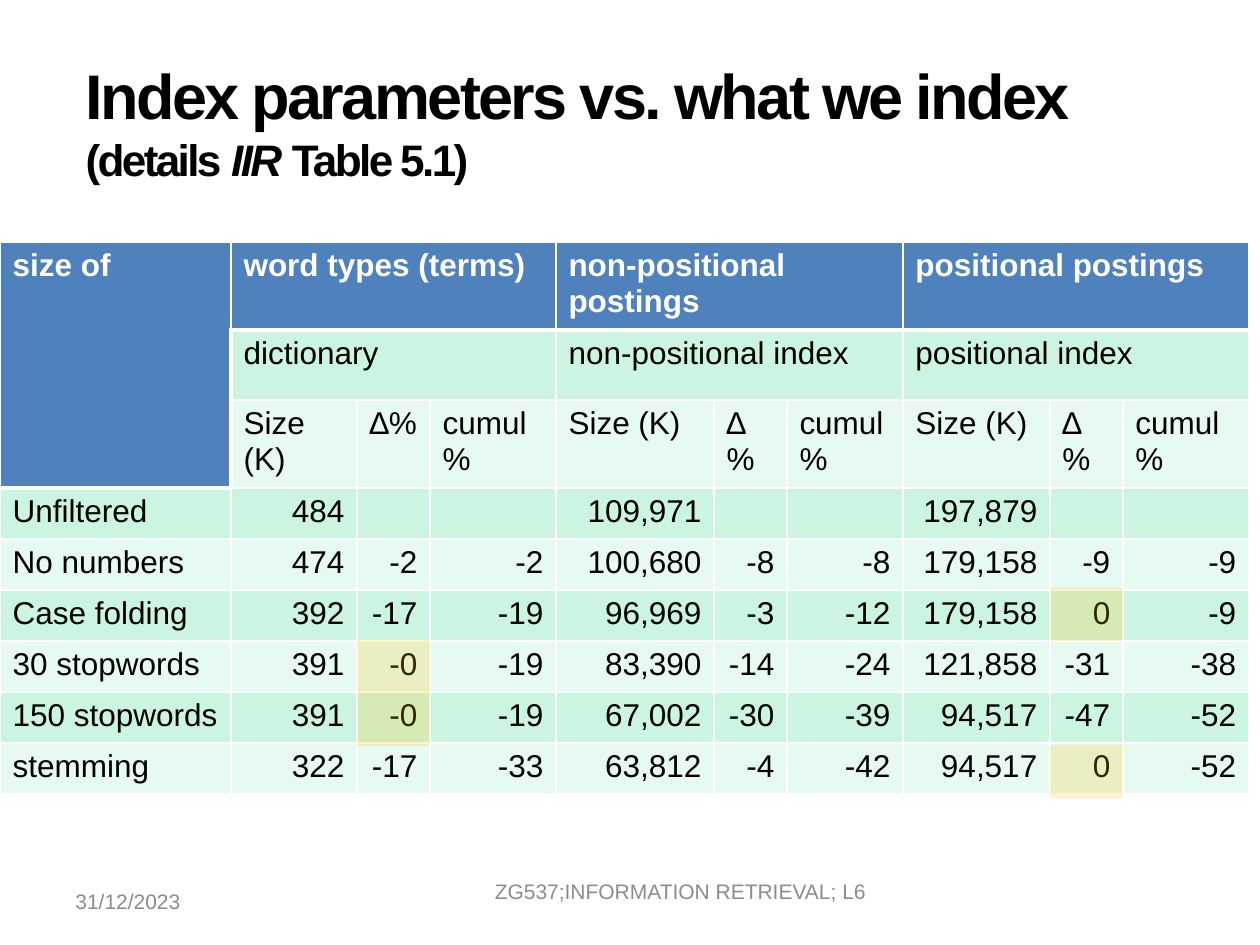
from itertools import accumulate
from lxml.etree import SubElement
from pptx import Presentation
from pptx.dml.color import RGBColor
from pptx.enum.shapes import MSO_SHAPE
from pptx.enum.text import MSO_ANCHOR, MSO_AUTO_SIZE, PP_ALIGN
from pptx.oxml.ns import qn
from pptx.util import Pt

EMU_PER_PX = 914400 / 126
BLACK = RGBColor(0x00, 0x00, 0x00)
WHITE = RGBColor(0xFF, 0xFF, 0xFF)
GRAY = RGBColor(0x8C, 0x8C, 0x8C)
BLUE = RGBColor(0x4F, 0x81, 0xBD)
MINT = RGBColor(0xCB, 0xF5, 0xE1)
PALE = RGBColor(0xE7, 0xFA, 0xF1)
AMBER = RGBColor(0xFF, 0xC0, 0x00)

WIDTHS = [231, 126, 73, 126, 158, 73, 116, 147, 73, 126]
HEIGHTS = [88, 70, 88] + [51] * 6
HEAD = 3
GROUPS = (1, 4, 7)
ROWS = [
    ["size of", "word types (terms)", "", "", "non-positional\npostings", "", "",
     "positional postings", "", ""],
    ["", "dictionary", "", "", "non-positional index", "", "", "positional index", "", ""],
    ["", "Size (K)", "∆%", "cumul %"] + ["Size (K)", "∆ %", "cumul %"] * 2,
    ["Unfiltered", "484", "", "", "109,971", "", "", "197,879", "", ""],
    ["No numbers", "474", "-2", "-2", "100,680", "-8", "-8", "179,158", "-9", "-9"],
    ["Case folding", "392", "-17", "-19", "96,969", "-3", "-12", "179,158", "0", "-9"],
    ["30 stopwords", "391", "-0", "-19", "83,390", "-14", "-24", "121,858", "-31", "-38"],
    ["150 stopwords", "391", "-0", "-19", "67,002", "-30", "-39", "94,517", "-47", "-52"],
    ["stemming", "322", "-17", "-33", "63,812", "-4", "-42", "94,517", "0", "-52"],
]


def px(n):
    return round(n * EMU_PER_PX)


def box(*lengths):
    return [px(n) for n in lengths]


class Deck:
    def __init__(self, font):
        self.font = font
        self.show = Presentation()
        self.show.slide_width, self.show.slide_height = box(1260, 945)
        self.slide = self.show.slides.add_slide(self.show.slide_layouts[5])

    def style(self, run, size, color, bold=False):
        font = run.font
        font.name, font.size, font.bold = self.font, Pt(size), bold
        font.color.rgb = color

    def title(self, place, parts):
        """Fill the title from (text, size, italic) parts."""
        shape = self.slide.shapes.title
        shape.left, shape.top, shape.width, shape.height = box(*place)
        frame = shape.text_frame
        frame.auto_size = MSO_AUTO_SIZE.NONE
        frame.vertical_anchor = MSO_ANCHOR.MIDDLE
        line = frame.paragraphs[0]
        line.alignment = PP_ALIGN.LEFT
        for text, size, italic in parts:
            run = line.add_run()
            run.text = text
            self.style(run, size, BLACK, True)
            run.font.italic = italic
            run.font._element.set("spc", "-150")

    def note(self, place, text, align):
        frame = self.slide.shapes.add_textbox(*box(*place)).text_frame
        frame.word_wrap = True
        frame.vertical_anchor = MSO_ANCHOR.MIDDLE
        frame.text = text
        line = frame.paragraphs[0]
        line.alignment = align
        self.style(line.runs[0], 12, GRAY)

    def edge(self, cell, row, col):
        """Draw white cell borders, thick around the heading blocks."""
        thick = {
            "L": col == 1 and row in (1, 2),
            "R": False,
            "T": row == 1 or (row == HEAD and col == 0),
            "B": row == 0,
        }
        props = cell._tc.get_or_add_tcPr()
        for side, heavy in thick.items():
            line = SubElement(props, qn("a:ln" + side), w=str(Pt(3 if heavy else 1)))
            fill = SubElement(line, qn("a:solidFill"))
            SubElement(fill, qn("a:srgbClr"), val=str(WHITE))

    def cell(self, cell, row, col, text):
        head = row == 0 or (col == 0 and row < HEAD)
        self.edge(cell, row, col)
        cell.fill.solid()
        cell.fill.fore_color.rgb = BLUE if head else MINT if row % 2 else PALE
        cell.text_frame.text = text
        for line in cell.text_frame.paragraphs:
            right = row >= HEAD and col > 0
            line.alignment = PP_ALIGN.RIGHT if right else PP_ALIGN.LEFT
            for run in line.runs:
                self.style(run, 18, WHITE if head else BLACK, head)

    def table(self, left, top):
        place = box(left, top, sum(WIDTHS), sum(HEIGHTS))
        table = self.slide.shapes.add_table(len(ROWS), len(WIDTHS), *place).table
        table.first_row = table.horz_banding = False
        for col, width in zip(table.columns, WIDTHS):
            col.width = px(width)
        for row, height in zip(table.rows, HEIGHTS):
            row.height = px(height)
        for r, texts in enumerate(ROWS):
            for c, text in enumerate(texts):
                self.cell(table.cell(r, c), r, c, text)
        table.cell(0, 0).merge(table.cell(HEAD - 1, 0))
        for r in (0, 1):
            for c in GROUPS:
                table.cell(r, c).merge(table.cell(r, c + 2))

    def mark(self, *place):
        """Lay a translucent highlight over a table cell."""
        shape = self.slide.shapes.add_shape(MSO_SHAPE.RECTANGLE, *box(*place))
        shape.shadow.inherit = False
        shape.line.fill.background()
        shape.fill.solid()
        shape.fill.fore_color.rgb = AMBER
        color = shape._element.spPr.find(".//" + qn("a:srgbClr"))
        SubElement(color, qn("a:alpha"), val="20000")


def main():
    deck = Deck("Arial")
    deck.title((73, 53, 1155, 136), [
        ("Index parameters vs. what we index ", 36, False),
        ("(details ", 25.2, False),
        ("IIR ", 25.2, True),
        ("Table 5.1)", 25.2, False),
    ])
    deck.table(0, 242)
    lefts = [0, *accumulate(WIDTHS)]
    for step, col in ((1, 2), (0, 8), (2, 2), (3, 8)):
        deck.mark(lefts[col], 588 + step * 105 // 2, WIDTHS[col], 53)
    deck.note((63, 876, 294, 50), "31/12/2023", PP_ALIGN.LEFT)
    deck.note((444, 867, 473, 49), "ZG537;INFORMATION RETRIEVAL; L6", PP_ALIGN.CENTER)
    deck.show.save("out.pptx")


if __name__ == "__main__":
    main()
